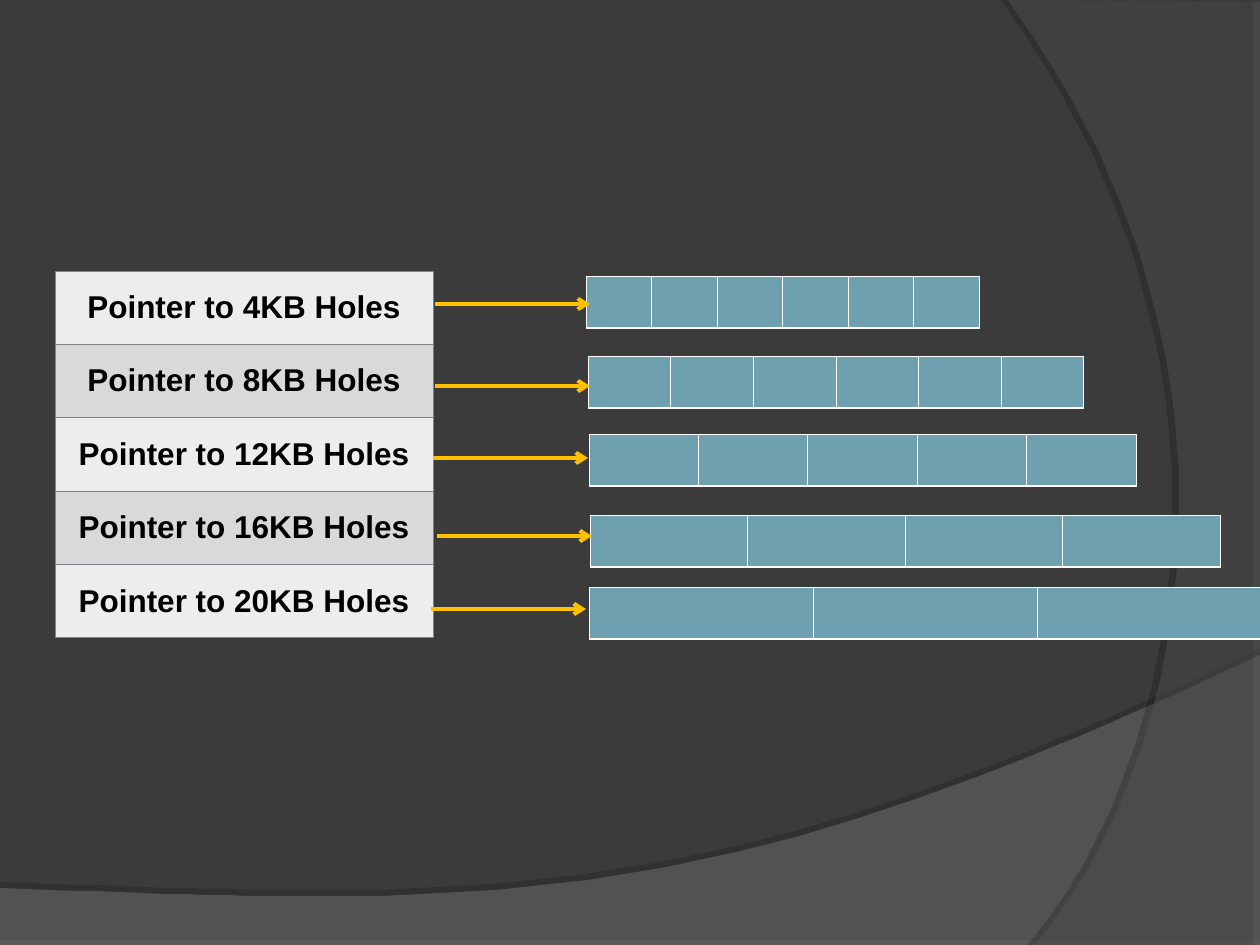
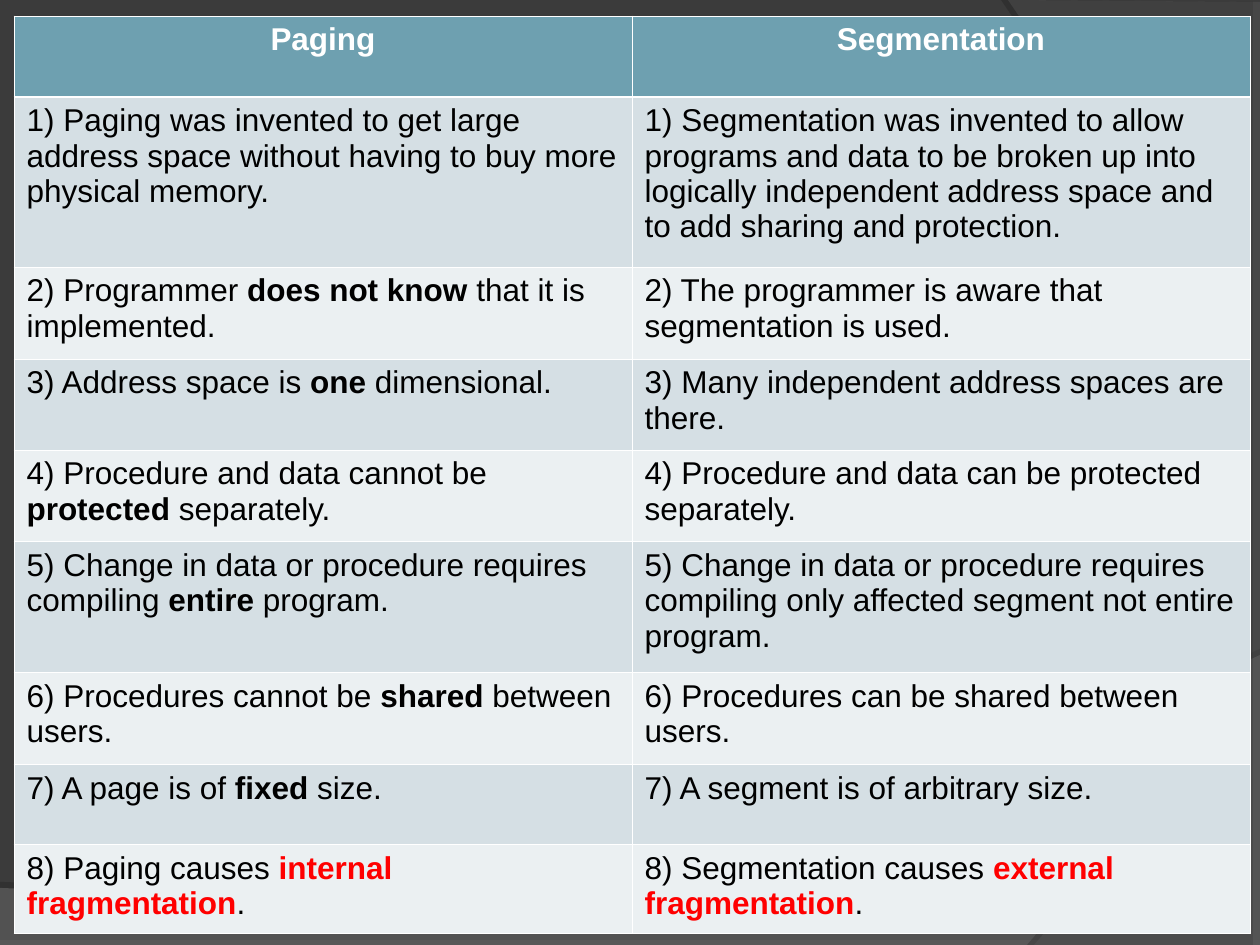
from dataclasses import dataclass

from lxml.etree import SubElement
from pptx import Presentation
from pptx.dml.color import RGBColor
from pptx.enum.shapes import MSO_CONNECTOR
from pptx.enum.text import MSO_ANCHOR, PP_ALIGN
from pptx.oxml.ns import qn
from pptx.util import Pt

STRAIGHT = MSO_CONNECTOR.STRAIGHT
MIDDLE, TOP = MSO_ANCHOR.MIDDLE, MSO_ANCHOR.TOP
CENTER, LEFT = PP_ALIGN.CENTER, PP_ALIGN.LEFT
SCALE = 914400 / 126
WIDE, HIGH = 1260, 945


@dataclass(frozen=True)
class Theme:
    """Colours, font and sizes of the deck."""
    back: str = "3B3B3B"
    wave: str = "7C7C7C"
    arc: str = "595959"
    teal: str = "6EA0B0"
    bands: tuple = ("D5DFE4", "EBF0F2")
    grays: tuple = ("ECEDEE", "D8D9DB")
    rule: str = "7E848D"
    gold: str = "FFC000"
    white: str = "FFFFFF"
    black: str = "000000"
    red: str = "FF0000"
    font: str = "Arial"
    size: float = 18
    thin: float = 0.45
    thick: float = 1.47
    arrow: float = 2.25


THEME = Theme()

HOLES = [
    ("4KB", (586, 276, 393), 6, (435, 304)),
    ("8KB", (588, 356, 496), 6, (435, 386)),
    ("12KB", (589, 434, 547), 5, (433, 458)),
    ("16KB", (590, 515, 630), 4, (437, 536)),
    ("20KB", (589, 587, 673), 3, (431, 609)),
]

PAIRS = [
    ("Paging", "Segmentation"),
    ("1) Paging was invented to get large address space without having to buy more physical memory.",
     "1) Segmentation was invented to allow programs and data to be broken up into logically "
     "independent address space and to add sharing and protection."),
    ("2) Programmer *does not know *that it is implemented.",
     "2) The programmer is aware that segmentation is used."),
    ("3) Address space is *one* dimensional.",
     "3) Many independent address spaces are there."),
    ("4) Procedure and data cannot be *protected* separately.",
     "4) Procedure and data can be protected separately."),
    ("5) Change in data or procedure requires compiling *entire* program.",
     "5) Change in data or procedure requires compiling only affected segment not entire program."),
    ("6) Procedures cannot be *shared* between users.",
     "6) Procedures can be shared between users."),
    ("7) A page is of *fixed* size.",
     "7) A segment is of arbitrary size."),
    ("8) Paging causes *internal fragmentation*.",
     "8) Segmentation causes *external fragmentation*."),
]
DEPTHS = [81, 170, 92, 91, 92, 131, 92, 80, 89]


def px(n):
    """Turn px into EMU."""
    return round(n * SCALE)


def rgb(tint):
    """Turn a hex string into a colour."""
    return RGBColor.from_string(tint)


def curve(start, one, two, end, steps=60):
    """List the points of a cubic curve after its start."""
    spots = []
    for i in range(1, steps + 1):
        t = i / steps
        u = 1 - t
        spots.append(tuple(u**3 * a + 3 * u * u * t * b + 3 * u * t * t * c + t**3 * d
                           for a, b, c, d in zip(start, one, two, end)))
    return spots


def sweep(slide, spots, tint, alpha, shade, dist, angle):
    """Draw one translucent outline with a hard shadow."""
    pen = slide.shapes.build_freeform(*spots[0], scale=SCALE)
    pen.add_line_segments(spots[1:], close=True)
    shape = pen.convert_to_shape()
    shape.fill.solid()
    shape.fill.fore_color.rgb = rgb(tint)
    shape.line.fill.background()
    shape.shadow.inherit = False
    spPr = shape.element.spPr
    fill = spPr.find(qn("a:solidFill"))
    SubElement(fill[0], qn("a:alpha"), val=str(alpha * 1000))
    cast = SubElement(spPr.find(qn("a:effectLst")), qn("a:outerShdw"), blurRad="0",
                      dist=str(Pt(dist)), dir=str(angle * 60000), algn="ctr", rotWithShape="0")
    dark = SubElement(cast, qn("a:srgbClr"), val=THEME.black)
    SubElement(dark, qn("a:alpha"), val=str(shade * 1000))


def stage(deck):
    """Add a slide with the shared backdrop."""
    slide = deck.slides.add_slide(deck.slide_layouts[6])
    slide.background.fill.solid()
    slide.background.fill.fore_color.rgb = rgb(THEME.back)
    edge = (WIDE, 655)
    wave = [(0, 888), (0, 946), (WIDE, 946), edge]
    wave += curve(edge, (704, 919), (493, 906), (0, 888))
    sweep(slide, wave, THEME.wave, 45, 35, 3.5, 270)
    foot = (1034, HIGH)
    arc = [(WIDE, 2), (WIDE, HIGH), foot]
    arc += curve(foot, (1178, 780), (1283, 378), (1008, 0))
    sweep(slide, arc, THEME.arc, 40, 45, 4, 180)
    return slide


def grid(slide, left, top, cols, rows):
    """Add a plain table with the given column and row sizes."""
    frame = slide.shapes.add_table(len(rows), len(cols), px(left), px(top),
                                   px(sum(cols)), px(sum(rows)))
    table = frame.table
    table.first_row = table.horz_banding = False
    for col, wide in zip(table.columns, cols):
        col.width = px(wide)
    for row, high in zip(table.rows, rows):
        row.height = px(high)
    return table


def paint(cell, tint, rule, top=THEME.thin, base=THEME.thin):
    """Set the borders and fill of a cell."""
    tcPr = cell._tc.get_or_add_tcPr()
    sides = {"L": THEME.thin, "R": THEME.thin, "T": top, "B": base}
    for side, width in sides.items():
        line = SubElement(tcPr, qn("a:ln" + side), w=str(Pt(width)))
        fill = SubElement(line, qn("a:solidFill"))
        SubElement(fill, qn("a:srgbClr"), val=rule)
    cell.fill.solid()
    cell.fill.fore_color.rgb = rgb(tint)


def write(cell, text, tint, bold=False, align=LEFT, anchor=TOP, mark=None):
    """Write text in a cell, with the parts between stars in bold."""
    cell.vertical_anchor = anchor
    para = cell.text_frame.paragraphs[0]
    para.alignment = align
    for i, part in enumerate(text.split("*")):
        run = para.add_run()
        run.text = part
        strong = i % 2 == 1
        run.font.name = THEME.font
        run.font.size = Pt(THEME.size)
        run.font.bold = bold or strong
        run.font.color.rgb = rgb(mark if strong and mark else tint)


def index(slide, left, top):
    """Draw the list of hole pointers."""
    table = grid(slide, left, top, [378], [73.4] * len(HOLES))
    for i, hole in enumerate(HOLES):
        cell = table.cell(i, 0)
        paint(cell, THEME.grays[i % 2], THEME.rule)
        write(cell, f"Pointer to {hole[0]} Holes", THEME.black, True, CENTER, MIDDLE)


def strip(slide, left, top, width, count):
    """Draw a row of equal holes."""
    table = grid(slide, left, top, [width / count] * count, [52])
    for cell in table.iter_cells():
        cell.margin_top = cell.margin_bottom = 0
        paint(cell, THEME.teal, THEME.white, base=THEME.thick)


def arrow(slide, left, top, width=155):
    """Draw an arrow to the right."""
    link = slide.shapes.add_connector(STRAIGHT, px(left), px(top), px(left + width), px(top))
    link.line.color.rgb = rgb(THEME.gold)
    link.line.width = Pt(THEME.arrow)
    spPr = link.element.spPr
    SubElement(spPr.find(qn("a:ln")), qn("a:tailEnd"), type="arrow")
    SubElement(spPr, qn("a:effectLst"))


def lists(deck):
    """Build the slide of hole lists by size."""
    slide = stage(deck)
    index(slide, 55, 271)
    for _, box, count, _ in HOLES:
        strip(slide, *box, count)
    for *_, start in HOLES:
        arrow(slide, *start)


def versus(deck):
    """Build the slide that compares paging and segmentation."""
    slide = stage(deck)
    table = grid(slide, 14, 16, [618, 618], DEPTHS)
    for i, pair in enumerate(PAIRS):
        for j, text in enumerate(pair):
            cell = table.cell(i, j)
            if i == 0:
                paint(cell, THEME.teal, THEME.white, base=THEME.thick)
                write(cell, text, THEME.white, True, CENTER)
            else:
                top = THEME.thick if i == 1 else THEME.thin
                paint(cell, THEME.bands[(i - 1) % 2], THEME.white, top)
                mark = THEME.red if i == len(PAIRS) - 1 else None
                write(cell, text, THEME.black, mark=mark)


def main():
    """Build and save the deck."""
    deck = Presentation()
    deck.slide_width, deck.slide_height = px(WIDE), px(HIGH)
    lists(deck)
    versus(deck)
    deck.save("out.pptx")


if __name__ == "__main__":
    main()
